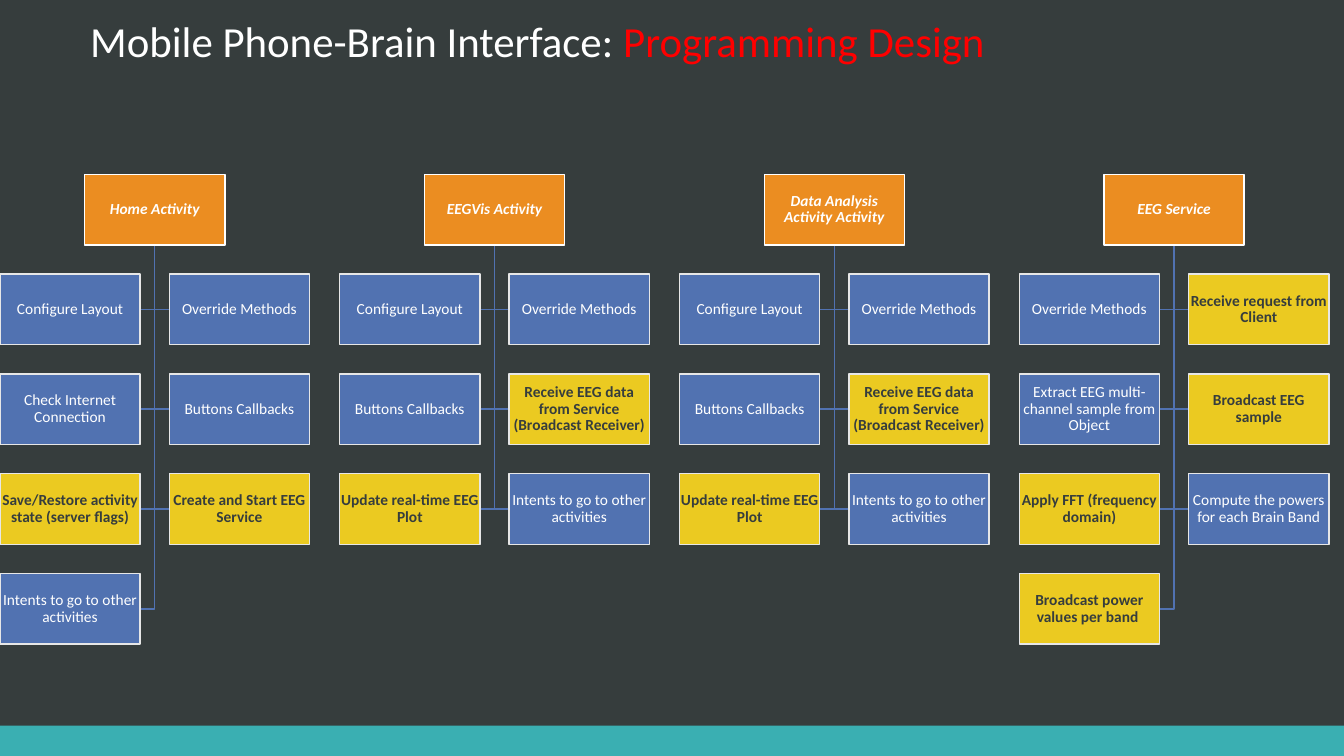
import dataclasses

import pptx
import pptx.dml.color
import pptx.enum.shapes
import pptx.enum.text
import pptx.util

Inches = pptx.util.Inches


@dataclasses.dataclass(frozen=True)
class Theme:
    """Colours, font and type sizes of the slide."""
    background: str = "363D3D"
    footer_bar: str = "3AAFB2"
    light: str = "FFFFFF"
    accent: str = "FF0000"
    activity: str = "EB8D21"
    step: str = "5172B1"
    key_step: str = "EBCA21"
    step_border: str = "E7E7E7"
    font: str = "Calibri"
    title_size: float = 30.6
    box_size: float = 11
    line_width: float = 1


def rgb(colour):
    """Turn a hex string into a colour."""
    return pptx.dml.color.RGBColor.from_string(colour)


class DesignSlide:
    """Draws the elements of one slide in a given theme."""

    def __init__(self, presentation, theme):
        self.theme = theme
        self.slide = presentation.slides.add_slide(presentation.slide_layouts[5])
        self.slide.background.fill.solid()
        self.slide.background.fill.fore_color.rgb = rgb(theme.background)

    def style_paragraph(self, paragraph, size):
        paragraph.alignment = pptx.enum.text.PP_ALIGN.CENTER
        paragraph.line_spacing = 0.9
        paragraph.font.name = self.theme.font
        paragraph.font.size = pptx.util.Pt(size)

    def title(self, subject, topic, left, top, width, height):
        heading = self.slide.shapes.title
        heading.left, heading.top = Inches(left), Inches(top)
        heading.width, heading.height = Inches(width), Inches(height)
        frame = heading.text_frame
        frame.vertical_anchor = pptx.enum.text.MSO_ANCHOR.BOTTOM
        frame.auto_size = pptx.enum.text.MSO_AUTO_SIZE.NONE
        paragraph = frame.paragraphs[0]
        self.style_paragraph(paragraph, self.theme.title_size)
        for wording, colour in ((subject, self.theme.light), (topic, self.theme.accent)):
            run = paragraph.add_run()
            run.text = wording
            run.font.color.rgb = rgb(colour)

    def bar(self, left, top, width, height, fill):
        block = self.slide.shapes.add_shape(
            pptx.enum.shapes.MSO_SHAPE.RECTANGLE,
            Inches(left), Inches(top), Inches(width), Inches(height))
        block.shadow.inherit = False
        block.fill.solid()
        block.fill.fore_color.rgb = rgb(fill)
        block.line.fill.background()
        return block

    def box(self, wording, left, top, width, height, fill, border, colour,
            bold=False, italic=False):
        block = self.bar(left, top, width, height, fill)
        block.line.color.rgb = rgb(border)
        block.line.width = pptx.util.Pt(self.theme.line_width)
        frame = block.text_frame
        frame.word_wrap = True
        frame.vertical_anchor = pptx.enum.text.MSO_ANCHOR.MIDDLE
        frame.margin_left = frame.margin_right = Inches(0.01)
        frame.margin_top = frame.margin_bottom = Inches(0.01)
        paragraph = frame.paragraphs[0]
        paragraph.text = wording
        self.style_paragraph(paragraph, self.theme.box_size)
        paragraph.font.color.rgb = rgb(colour)
        paragraph.font.bold = bold
        paragraph.font.italic = italic

    def elbow(self, stem_x, start_y, end_x, end_y):
        builder = self.slide.shapes.build_freeform(Inches(stem_x), Inches(start_y))
        builder.add_line_segments(
            [(Inches(stem_x), Inches(end_y)), (Inches(end_x), Inches(end_y))], close=False)
        branch = builder.convert_to_shape()
        branch.shadow.inherit = False
        branch.fill.background()
        branch.line.color.rgb = rgb(self.theme.step)
        branch.line.width = pptx.util.Pt(self.theme.line_width)

    def activity_tree(self, activity, steps, left, top):
        theme = self.theme
        stem_x = left + BOX_WIDTH + GAP / 2
        placed_steps = []
        for index, step in enumerate(steps):
            row, column = divmod(index, 2)
            step_left = left + column * (BOX_WIDTH + GAP)
            step_top = top + (row + 1) * (BOX_HEIGHT + GAP)
            placed_steps.append((step, step_left, step_top))
            side = 1 if column else -1
            self.elbow(stem_x, top + BOX_HEIGHT, stem_x + side * GAP / 2,
                       step_top + BOX_HEIGHT / 2)
        self.box(activity, stem_x - BOX_WIDTH / 2, top, BOX_WIDTH, BOX_HEIGHT,
                 theme.activity, theme.light, theme.light, bold=True, italic=True)
        for step, step_left, step_top in placed_steps:
            is_key = step in KEY_STEPS
            self.box(step, step_left, step_top, BOX_WIDTH, BOX_HEIGHT,
                     theme.key_step if is_key else theme.step, theme.step_border,
                     theme.background if is_key else theme.light, bold=is_key)


BOX_WIDTH, BOX_HEIGHT, GAP = 1.39, 0.7, 0.29
TREE_PITCH, TREE_TOP = 3.37, 1.73

VIEW_STEPS = [
    "Configure Layout", "Override Methods",
    "Buttons Callbacks", "Receive EEG data from Service (Broadcast Receiver)",
    "Update real-time EEG Plot", "Intents to go to other activities",
]
ACTIVITIES = {
    "Home Activity": [
        "Configure Layout", "Override Methods",
        "Check Internet Connection", "Buttons Callbacks",
        "Save/Restore activity state (server flags)", "Create and Start EEG Service",
        "Intents to go to other activities",
    ],
    "EEGVis Activity": VIEW_STEPS,
    "Data Analysis Activity Activity": VIEW_STEPS,
    "EEG Service": [
        "Override Methods", "Receive request from Client",
        "Extract EEG multi-channel sample from Object", "Broadcast EEG sample",
        "Apply FFT (frequency domain)", "Compute the powers for each Brain Band",
        "Broadcast power values per band ",
    ],
}
KEY_STEPS = {
    "Save/Restore activity state (server flags)",
    "Create and Start EEG Service",
    "Receive EEG data from Service (Broadcast Receiver)",
    "Update real-time EEG Plot",
    "Receive request from Client",
    "Broadcast EEG sample",
    "Apply FFT (frequency domain)",
    "Broadcast power values per band ",
}


def main():
    """Build and save the slide."""
    presentation = pptx.Presentation()
    presentation.slide_width = Inches(13.33)
    presentation.slide_height = Inches(7.5)
    theme = Theme()
    design = DesignSlide(presentation, theme)
    design.bar(0, 7.2, 13.33, 0.3, theme.footer_bar)
    design.title("Mobile Phone-Brain Interface: ", "Programming Design",
                 0.13, 0.13, 10.4, 0.58)
    for index, (activity, steps) in enumerate(ACTIVITIES.items()):
        design.activity_tree(activity, steps, index * TREE_PITCH, TREE_TOP)
    presentation.save("out.pptx")


if __name__ == "__main__":
    main()
